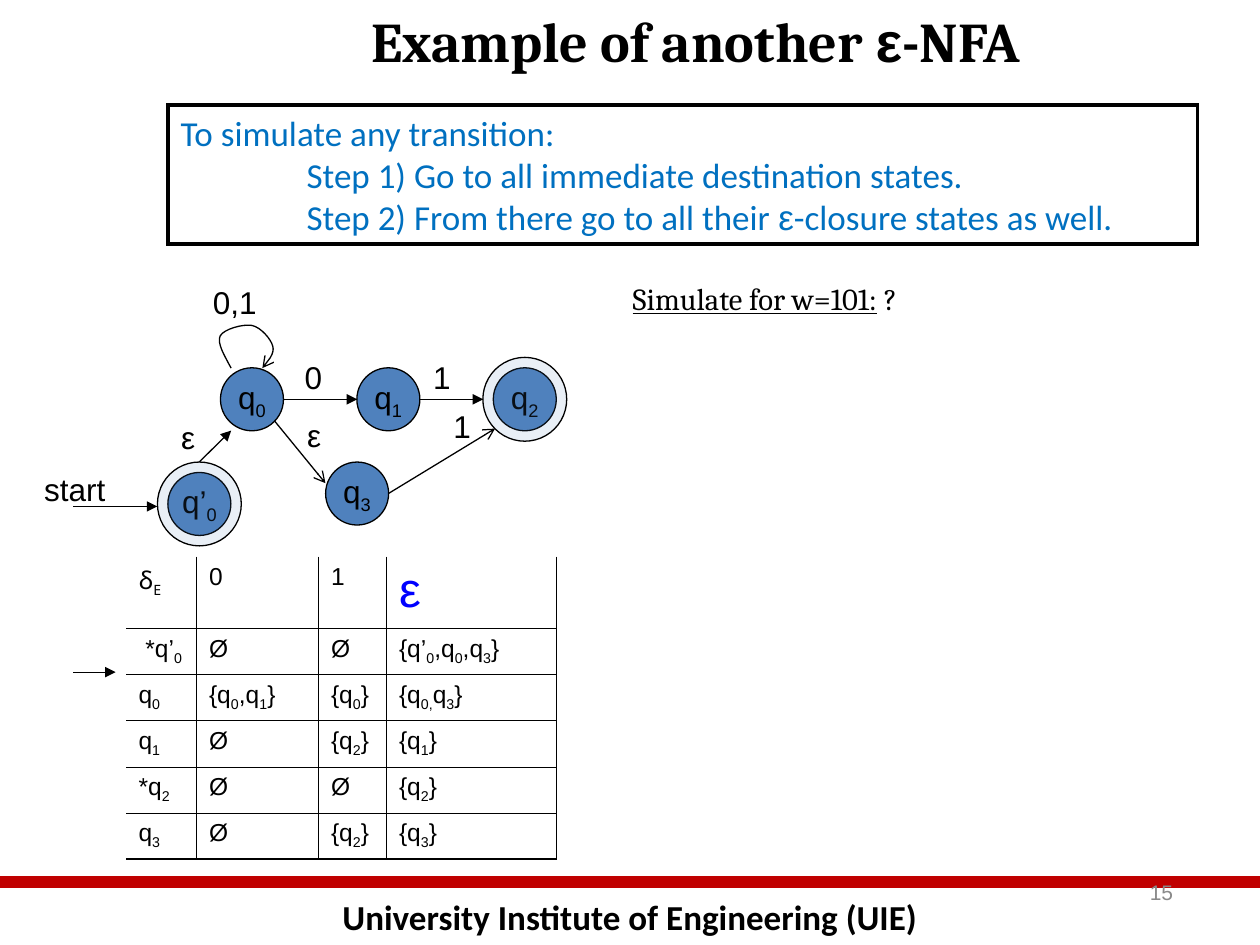
from lxml.etree import SubElement
from pptx import Presentation
from pptx.dml.color import RGBColor
from pptx.enum.shapes import MSO_CONNECTOR as Link, MSO_SHAPE as Shape
from pptx.enum.text import MSO_ANCHOR as Anchor, MSO_AUTO_SIZE as Fit, PP_ALIGN as Align
from pptx.oxml.ns import qn
from pptx.util import Cm, Pt

BLACK = RGBColor(0, 0, 0)
WHITE = RGBColor(255, 255, 255)
RED = RGBColor(0xC0, 0, 0)
GRAY = RGBColor(0x89, 0x89, 0x89)
SKY = RGBColor(0, 0x70, 0xC0)
PURE = RGBColor(0, 0, 255)
STEEL = RGBColor(0x4F, 0x81, 0xBD)


def write(para, text, size, font="Arial", color=BLACK, bold=False):
    """Add text as runs; a part between two ~ is subscript, and ε is set in Arial."""
    for i, part in enumerate(text.split("~")):
        pieces = part.replace("ε", "\0ε\0").split("\0")
        for piece in filter(None, pieces):
            run = para.add_run()
            run.text = piece
            run.font.size = Pt(size)
            run.font.name = "Arial" if piece == "ε" else font
            run.font.bold = bold
            run.font.color.rgb = color
            if i % 2:
                run._r.get_or_add_rPr().set("baseline", "-25000")


def ink(shape, width=0.75, color=BLACK, head=None):
    """Set the line of a shape or connector, with an arrowhead at its end if named."""
    shape.line.width = Pt(width)
    shape.line.color.rgb = color
    line = shape.line._get_or_add_ln()
    SubElement(line, qn("a:miter"), lim="800000")
    if head:
        SubElement(line, qn("a:tailEnd"), type=head)
    if shape._element.spPr.find(qn("a:effectLst")) is None:
        SubElement(shape._element.spPr, qn("a:effectLst"))


deck = Presentation()
deck.slide_width, deck.slide_height = Cm(25.4), Cm(19.05)
slide = deck.slides.add_slide(deck.slide_layouts[1])
shapes = slide.shapes

# Title and question
title, body = shapes.title, slide.placeholders[1]
for holder, place in ((title, (3.2, 0, 21.64, 3.18)), (body, (12.5, 5.51, 10.59, 2.11))):
    holder.left, holder.top, holder.width, holder.height = map(Cm, place)
    holder.text_frame.auto_size = Fit.NONE
    holder.text_frame.vertical_anchor = Anchor.TOP
head = title.text_frame.paragraphs[0]
head.alignment = Align.CENTER
write(head, "Example of another ε-NFA", 32, "Cambria", bold=True)
task = body.text_frame.paragraphs[0]
props = task._p.get_or_add_pPr()
props.set("marL", "0")
props.set("indent", "0")
SubElement(props, qn("a:buNone"))
task.space_before = Pt(0)
write(task, "Simulate for w=101:", 17.5, "Cambria")
task.runs[0].font.underline = True
write(task, " ?", 17.5, "Cambria")

# Footer
rule = shapes.add_connector(Link.STRAIGHT, 0, Cm(17.78), Cm(25.4), Cm(17.78))
ink(rule, 7, RED)
foot = shapes.add_textbox(0, Cm(17.93), Cm(25.4), Cm(1.12)).text_frame
foot.word_wrap = True
foot.paragraphs[0].alignment = Align.CENTER
write(foot.paragraphs[0], "University Institute of Engineering (UIE)", 20, "Calibri", bold=True)
page = shapes.add_textbox(Cm(18.62), Cm(17.35), Cm(5.28), Cm(1.27)).text_frame
page.word_wrap = True
page.vertical_anchor = Anchor.MIDDLE
page.paragraphs[0].alignment = Align.RIGHT
write(page.paragraphs[0], "15", 12, color=GRAY)

# Transition table
rows = [
    ("δ~E", "0", "1", "ε"),
    (" *q’~0", "Ø", "Ø", "{q’~0~,q~0~,q~3~}"),
    ("q~0", "{q~0~,q~1~}", "{q~0~}", "{q~0,~q~3~}"),
    ("q~1", "Ø", "{q~2~}", "{q~1~}"),
    ("*q~2", "Ø", "Ø", "{q~2~}"),
    ("q~3", "Ø", "{q~2~}", "{q~3~}"),
]
wides = (1.42, 2.46, 1.37, 3.43)
talls = (1.45,) + (0.93,) * 5
grid = shapes.add_table(6, 4, Cm(2.54), Cm(11.22), Cm(sum(wides)), Cm(sum(talls))).table
grid.first_row = grid.horz_banding = False
for col, wide in zip(grid.columns, wides):
    col.width = Cm(wide)
for r, (row, tall) in enumerate(zip(rows, talls)):
    grid.rows[r].height = Cm(tall)
    for c, text in enumerate(row):
        cell = grid.cell(r, c)
        edges = {"L": c > 0, "R": True, "T": r > 0, "B": True}
        for side, shown in edges.items():
            outer = (side == "R" and c == 3) or (side == "B" and r == 5)
            width = Pt(1.08 if outer else 0.45)
            edge = SubElement(cell._tc.get_or_add_tcPr(), qn("a:ln" + side), w=str(width))
            if shown:
                fill = SubElement(edge, qn("a:solidFill"))
                SubElement(fill, qn("a:srgbClr"), val=str(BLACK))
            else:
                SubElement(edge, qn("a:noFill"))
        cell.fill.background()
        para = cell.text_frame.paragraphs[0]
        if text == "ε":
            write(para, text, 28, color=PURE)
        else:
            write(para, text, 14, "Noto Sans" if r == c == 0 else "Arial")

# States: label, centre, accepting
states = [
    ("q~0", 5.08, 8.05, False),
    ("q~1", 7.83, 8.05, False),
    ("q~2", 10.58, 8.05, True),
    ("q’~0", 4.02, 10.16, True),
    ("q~3", 7.2, 9.95, False),
]
for name, x, y, final in states:
    for size in (1.27, 1.69)[:1 + final]:
        disc = shapes.add_shape(Shape.OVAL, Cm(x - size / 2), Cm(y - size / 2), Cm(size), Cm(size))
        disc.shadow.inherit = False
        disc.fill.solid()
        disc.fill.fore_color.rgb = STEEL
        ink(disc)
        if size == 1.27:
            disc.text_frame.word_wrap = False
            disc.text_frame.vertical_anchor = Anchor.MIDDLE
            disc.text_frame.paragraphs[0].alignment = Align.CENTER
            write(disc.text_frame.paragraphs[0], name, 18)
        else:
            tint = disc._element.spPr.find(qn("a:solidFill"))[0]
            SubElement(tint, qn("a:alpha"), val="12000")

# Arrows
arrows = [
    (1.48, 13.55, 2.33, 13.55, "triangle"),
    (1.48, 10.21, 3.17, 10.21, "triangle"),
    (5.72, 8.05, 7.2, 8.05, "triangle"),
    (8.47, 8.05, 9.74, 8.05, "triangle"),
    (4.02, 9.31, 4.66, 8.68, "triangle"),
    (5.53, 8.48, 6.56, 9.74, "arrow"),
    (7.83, 9.95, 9.98, 8.64, "arrow"),
]
for *ends, tip in arrows:
    ink(shapes.add_connector(Link.STRAIGHT, *map(Cm, ends)), head=tip)

# Loop on q0, sampled from four cubic curves
knots = [(4.66, 7.42), (4.52, 7.16), (4.37, 6.91), (4.44, 6.77), (4.52, 6.63),
         (4.9, 6.53), (5.08, 6.56), (5.26, 6.6), (5.46, 6.83), (5.5, 6.98),
         (5.54, 7.13), (5.41, 7.27), (5.29, 7.42)]
points = []
for k in range(0, 12, 3):
    for t in (n / 8 for n in range(1, 9)):
        parts = ((1 - t) ** 3, 3 * t * (1 - t) ** 2, 3 * t * t * (1 - t), t ** 3)
        points.append([Cm(sum(w * p[a] for w, p in zip(parts, knots[k:k + 4]))) for a in (0, 1)])
curve = shapes.build_freeform(*map(Cm, knots[0]))
curve.add_line_segments(points, close=False)
loop = curve.convert_to_shape()
loop.shadow.inherit = False
loop.fill.background()
ink(loop, head="arrow")

# Arrow labels
labels = [
    ("start", 0.64, 9.35, 1.8),
    ("0", 5.89, 7.09, 0.86),
    ("0,1", 4.04, 5.59, 1.4),
    ("1", 8.48, 7.09, 0.86),
    ("ε", 3.4, 8.31, 0.79),
    ("ε", 5.94, 8.26, 0.79),
    ("1", 8.89, 8.08, 0.86),
]
for text, x, y, wide in labels:
    frame = shapes.add_textbox(Cm(x), Cm(y), Cm(wide), Cm(1.02)).text_frame
    frame.word_wrap = False
    frame.auto_size = Fit.SHAPE_TO_FIT_TEXT
    write(frame.paragraphs[0], text, 18)

# Steps
box = shapes.add_shape(Shape.RECTANGLE, Cm(3.39), Cm(2.12), Cm(20.75), Cm(2.8))
box.shadow.inherit = False
box.fill.solid()
box.fill.fore_color.rgb = WHITE
ink(box, 2)
box.text_frame.vertical_anchor = Anchor.TOP
steps = [
    "To simulate any transition:",
    "Step 1) Go to all immediate destination states.",
    "Step 2) From there go to all their ε-closure states as well.",
]
for i, step in enumerate(steps):
    para = box.text_frame.add_paragraph() if i else box.text_frame.paragraphs[0]
    para.alignment = Align.LEFT
    if i:
        para._p.get_or_add_pPr().set("marL", str(Cm(2.54)))
    write(para, step, 20, "Calibri", SKY)

deck.save("out.pptx")
